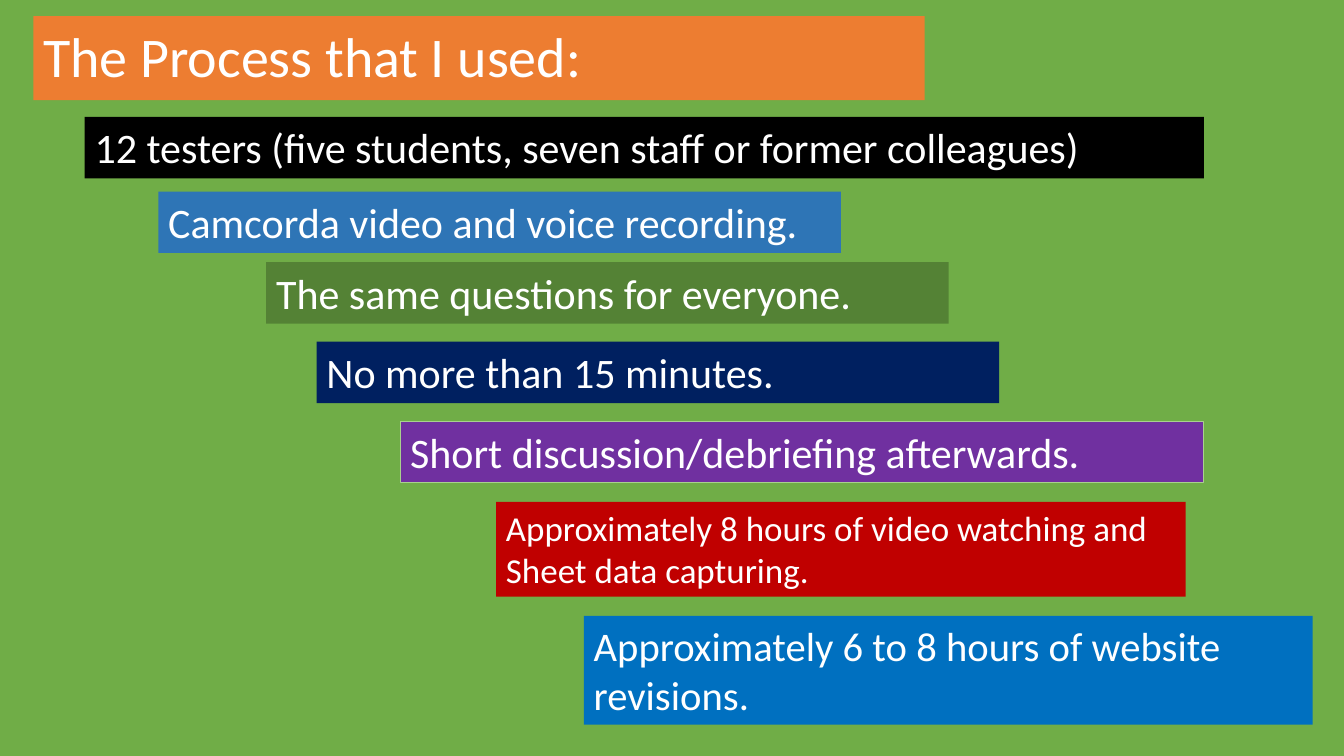
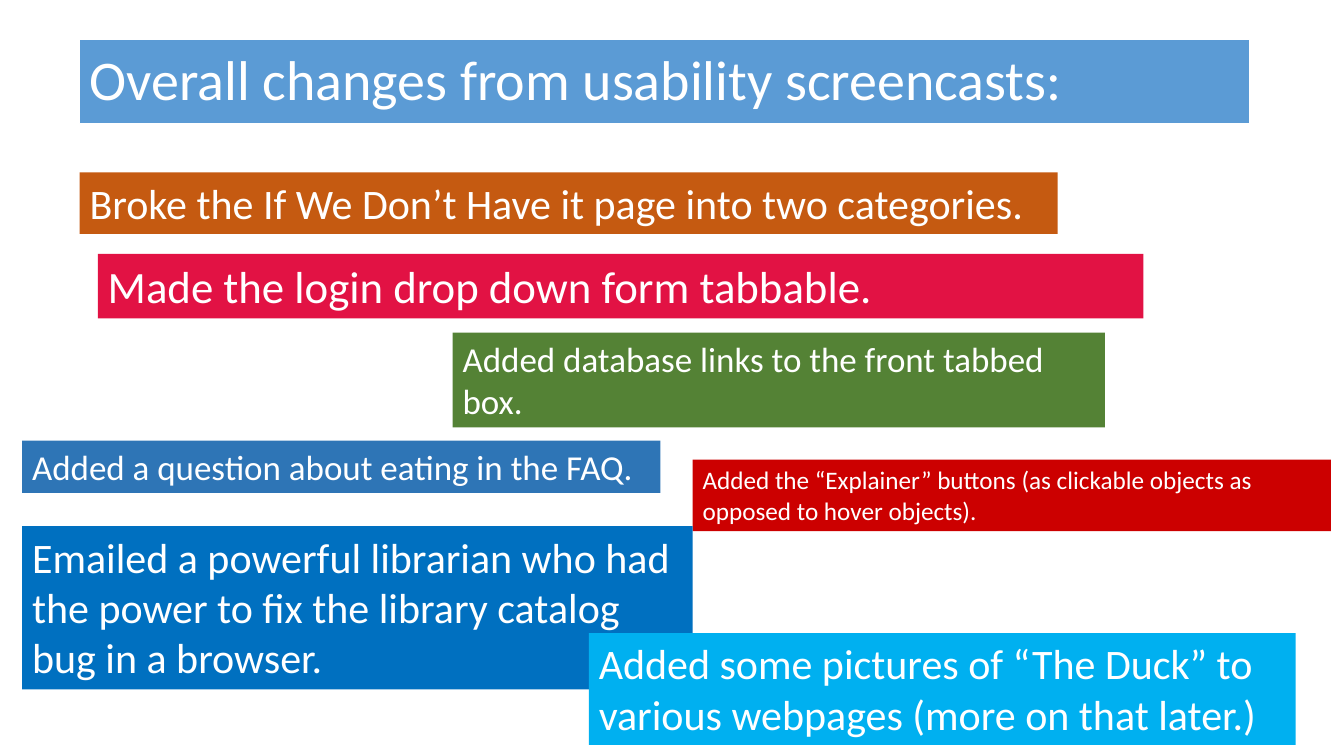
"""Build two slides of coloured text bars about a website usability test."""
from pptx import Presentation
from pptx import util as u
from pptx.dml.color import RGBColor
from pptx.enum import shapes, text

FONT = "Calibri"
WHITE = "FFFFFF"
GREEN = "70AD47"
DARK_GREEN = "548235"
STEEL_BLUE = "2E75B6"
BRIGHT_BLUE = "0070C0"
TITLE_SIZE = 40
TITLE_HEIGHT = 0.77
BAR_SIZE = 30
BAR_HEIGHT = 0.61

PROCESS_STEPS = [
    ("12 testers (five students, seven staff or former colleagues)",
     (0.84, 1.16, 11.1, BAR_HEIGHT), "000000", BAR_SIZE, None),
    ("Camcorda video and voice recording.",
     (1.57, 1.9, 6.77, BAR_HEIGHT), STEEL_BLUE, BAR_SIZE, None),
    ("The same questions for everyone.",
     (2.64, 2.6, 6.77, BAR_HEIGHT), DARK_GREEN, BAR_SIZE, None),
    ("No more than 15 minutes.",
     (3.14, 3.39, 6.77, BAR_HEIGHT), "002060", BAR_SIZE, None),
    ("Short discussion/debriefing afterwards.",
     (3.97, 4.18, 7.97, BAR_HEIGHT), "7030A0", BAR_SIZE, "A9D18E"),
    ("Approximately 8 hours of video watching and Sheet data capturing.",
     (4.92, 4.98, 6.84, 0.94), "C00000", 25, None),
    ("Approximately 6 to 8 hours of website revisions.",
     (5.79, 6.11, 7.23, 1.08), BRIGHT_BLUE, 29, None),
]

SITE_CHANGES = [
    ("Broke the If We Don’t Have it page into two categories.",
     (0.79, 1.71, 9.7, BAR_HEIGHT), "C55A11", BAR_SIZE, None),
    ("Made the login drop down form tabbable.",
     (0.97, 2.52, 10.37, 0.64), "E21244", 32, None),
    ("Added database links to the front tabbed box.",
     (4.49, 3.3, 6.47, 0.94), DARK_GREEN, 25, None),
    ("Added a question about eating in the FAQ.",
     (0.22, 4.37, 6.33, 0.52), STEEL_BLUE, 25, None),
    ("Added the “Explainer” buttons (as clickable objects as opposed to hover objects).",
     (6.87, 4.56, 6.33, 0.71), "CC0000", 18, None),
    ("Emailed a powerful librarian who had the power to fix the library catalog bug in a browser.",
     (0.22, 5.22, 6.65, 1.62), BRIGHT_BLUE, BAR_SIZE, None),
    ("Added some pictures of “The Duck” to various webpages (more on that later.)",
     (5.84, 6.28, 7.01, 1.11), "00B0F0", BAR_SIZE, None),
]


def paint(fill, color):
    """Give a fill one solid colour."""
    fill.solid()
    fill.fore_color.rgb = RGBColor.from_string(color)


def style_bar(box, wording, color, size, outline=None):
    """Write white text in a box and colour its fill and outline."""
    paint(box.fill, color)
    if outline:
        paint(box.line.fill, outline)
        box.line.width = u.Pt(0.75)
    else:
        box.line.fill.background()
    frame = box.text_frame
    frame.text = wording
    frame.word_wrap = True
    frame.vertical_anchor = text.MSO_ANCHOR.TOP
    frame.auto_size = text.MSO_AUTO_SIZE.SHAPE_TO_FIT_TEXT
    para = frame.paragraphs[0]
    para.alignment = text.PP_ALIGN.LEFT
    for span in para.runs:
        span.font.name = FONT
        span.font.size = u.Pt(size)
        paint(span.font.fill, WHITE)


def add_bar(page, wording, place, color, size, outline):
    """Add a coloured bar holding one statement."""
    left, top, width, height = map(u.Inches, place)
    box = page.shapes.add_shape(shapes.MSO_SHAPE.RECTANGLE, left, top, width, height)
    box.shadow.inherit = False
    style_bar(box, wording, color, size, outline)


def set_title(page, wording, left, top, width, color, outline=None):
    """Place the title placeholder as a coloured band."""
    title = page.shapes.title
    title.left, title.top = u.Inches(left), u.Inches(top)
    title.width, title.height = u.Inches(width), u.Inches(TITLE_HEIGHT)
    style_bar(title, wording, color, TITLE_SIZE, outline)


def add_page(deck, background, bars):
    """Add a title-only page with its background and bars."""
    page = deck.slides.add_slide(deck.slide_layouts.get_by_name("Title Only"))
    paint(page.background.fill, background)
    for bar in bars:
        add_bar(page, *bar)
    return page


def main():
    """Build and save the deck."""
    deck = Presentation()
    deck.slide_width, deck.slide_height = u.Inches(13.33), u.Inches(7.5)
    process = add_page(deck, GREEN, PROCESS_STEPS)
    set_title(process, "The Process that I used:", 0.33, 0.16, 8.84, "ED7D31")
    changes = add_page(deck, WHITE, SITE_CHANGES)
    set_title(changes, "Overall changes from usability screencasts:",
              0.79, 0.39, 11.6, "5B9BD5", WHITE)
    deck.save("out.pptx")


if __name__ == "__main__":
    main()
